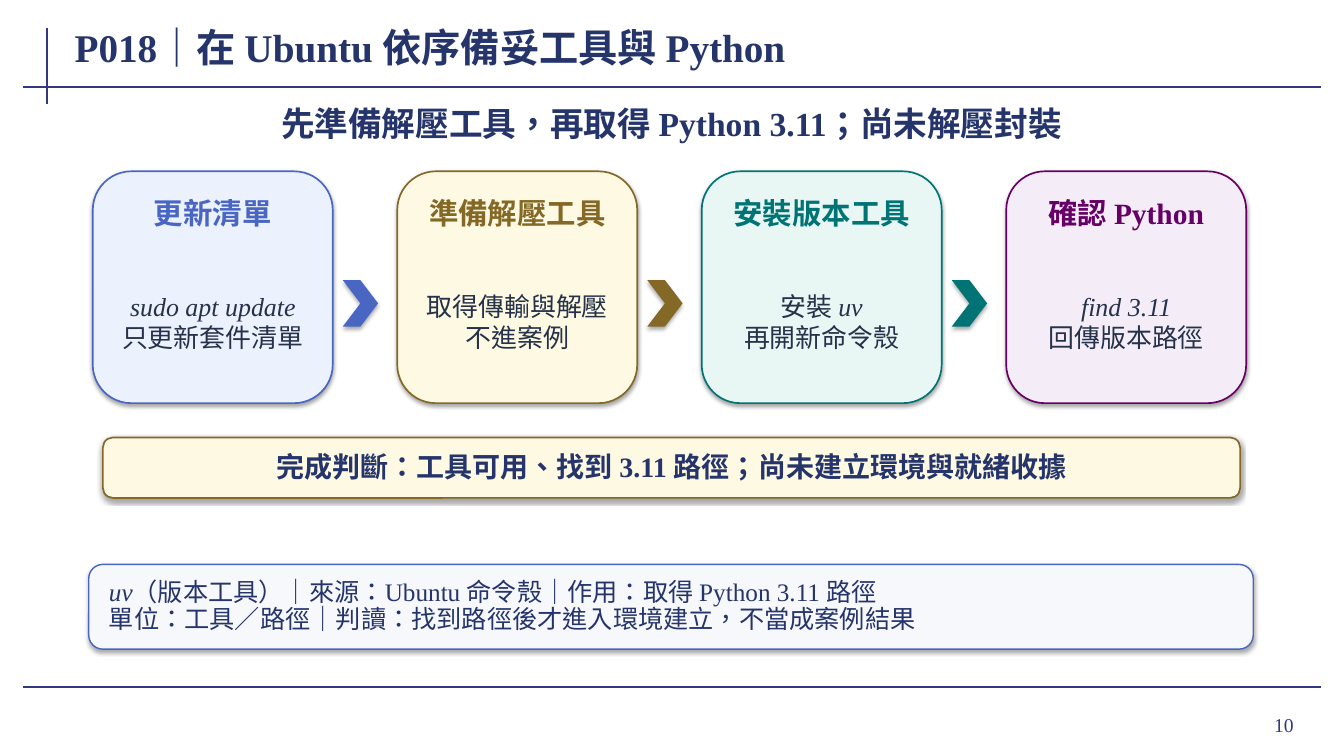
from lxml import etree
from pptx import Presentation, util as u
from pptx.dml.color import RGBColor
from pptx.enum import lang, shapes, text
from pptx.oxml import parse_xml
from pptx.oxml.ns import nsdecls, qn

NAVY = RGBColor(0x25, 0x35, 0x6B)
RULE = RGBColor(0x35, 0x37, 0x7F)
INK = RGBColor(0x25, 0x32, 0x4A)
BLUE = RGBColor(0x49, 0x67, 0xC2)
GOLD = RGBColor(0x84, 0x68, 0x26)
TEAL = RGBColor(0x00, 0x73, 0x74)
PLUM = RGBColor(0x66, 0x00, 0x66)
PALE_BLUE = RGBColor(0xEC, 0xF1, 0xFE)
PALE_GOLD = RGBColor(0xFD, 0xF9, 0xE2)
PALE_TEAL = RGBColor(0xE8, 0xF7, 0xF4)
PALE_PLUM = RGBColor(0xF4, 0xED, 0xF7)
PALE_GREY = RGBColor(0xF7, 0xF8, 0xFC)

LEFT, CENTER, RIGHT = text.PP_ALIGN.LEFT, text.PP_ALIGN.CENTER, text.PP_ALIGN.RIGHT
ROUNDED = shapes.MSO_SHAPE.ROUNDED_RECTANGLE
CHEVRON = shapes.MSO_SHAPE.CHEVRON
SHADOW = (f'<a:outerShdw {nsdecls("a")} blurRad="{u.Pt(3.1)}" dist="{u.Pt(1.8)}" '
          'dir="5400000" algn="ctr" rotWithShape="0"><a:srgbClr val="000000">'
          '<a:alpha val="35000"/></a:srgbClr></a:outerShdw>')

# Each step: heading, line colour, fill colour, paragraphs of (text, italic) runs
STEPS = [
    ("更新清單", BLUE, PALE_BLUE,
     [[("sudo apt update", True)], [("只更新套件清單", False)]]),
    ("準備解壓工具", GOLD, PALE_GOLD,
     [[("取得傳輸與解壓", False)], [("不進案例", False)]]),
    ("安裝版本工具", TEAL, PALE_TEAL,
     [[("安裝 ", False), ("uv", True)], [("再開新命令殼", False)]]),
    ("確認 Python", PLUM, PALE_PLUM,
     [[("find 3.11", True)], [("回傳版本路徑", False)]]),
]
CARD_LEFT, CARD_PITCH = 0.92, 3.02


class Deck:
    font = "Times New Roman"

    def __init__(self, prs):
        self.s = prs.slides.add_slide(prs.slide_layouts[6])

    def rule(self, x1, y1, x2, y2):
        line = self.s.shapes.add_connector(
            shapes.MSO_CONNECTOR.STRAIGHT, *map(u.Inches, (x1, y1, x2, y2)))
        line.line.color.rgb = RULE
        line.line.width = u.Pt(1.5)
        etree.SubElement(line._element.spPr, qn("a:effectLst"))

    def set_text(self, sp, paragraphs, size, color, bold=False, align=CENTER,
                 insets=(0.02, 0.01), spacing=None):
        """Fill a shape with paragraphs, each a string or a list of (text, italic) runs."""
        tf = sp.text_frame
        x, y = map(u.Inches, insets)
        frame = {"word_wrap": True, "vertical_anchor": text.MSO_ANCHOR.MIDDLE,
                 "margin_left": x, "margin_right": x, "margin_top": y, "margin_bottom": y}
        for name, value in frame.items():
            setattr(tf, name, value)
        style = {"name": self.font, "size": u.Pt(size), "bold": bold,
                 "language_id": lang.MSO_LANGUAGE_ID.TRADITIONAL_CHINESE}
        for i, runs in enumerate(paragraphs):
            p = tf.add_paragraph() if i else tf.paragraphs[0]
            p.alignment = align
            p.line_spacing = spacing
            for content, italic in [(runs, False)] if isinstance(runs, str) else runs:
                r = p.add_run()
                r.text = content
                for name, value in {**style, "italic": italic}.items():
                    setattr(r.font, name, value)
                r.font.color.rgb = color

    def label(self, box, paragraphs, size, color, **fmt):
        sp = self.s.shapes.add_textbox(*map(u.Inches, box))
        self.set_text(sp, paragraphs, size, color, **fmt)

    def shape(self, kind, box, fill, line=None, width=1.2):
        """Add a filled shape with a soft shadow below it."""
        sp = self.s.shapes.add_shape(kind, *map(u.Inches, box))
        sp.fill.solid()
        sp.fill.fore_color.rgb = fill
        if line is None:
            sp.line.fill.background()
        else:
            sp.line.color.rgb = line
            sp.line.width = u.Pt(width)
        sp.shadow.inherit = False
        sp._element.spPr.find(qn("a:effectLst")).append(parse_xml(SHADOW))
        return sp

    def step(self, x, heading, color, fill, body):
        self.shape(ROUNDED, (x, 1.7, 2.38, 2.3), fill, color)
        self.label((x + 0.18, 1.9, 2.02, 0.42), [heading], 21, color, bold=True)
        self.label((x + 0.22, 2.58, 1.94, 1.22), body, 18.5, INK)


def main():
    prs = Presentation()
    prs.slide_width, prs.slide_height = u.Inches(13.33), u.Inches(7.5)
    deck = Deck(prs)

    deck.rule(0.47, 0.28, 0.47, 1.03)
    for y in (0.86, 6.82):
        deck.rule(0.23, y, 13.1, y)
    deck.label((11.96, 6.93, 0.97, 0.52), ["10"], 14, RULE, align=RIGHT, insets=(0.1, 0.05))
    deck.label((0.72, 0.2, 10.35, 0.53), ["P018｜在 Ubuntu 依序備妥工具與 Python"],
               28, NAVY, bold=True, align=LEFT, insets=(0.02, 0))
    deck.label((1.02, 1.02, 11.28, 0.4), ["先準備解壓工具，再取得 Python 3.11；尚未解壓封裝"],
               24, NAVY, bold=True)

    for i, (heading, color, fill, body) in enumerate(STEPS):
        x = CARD_LEFT + i * CARD_PITCH
        deck.step(x, heading, color, fill, body)
        if i < len(STEPS) - 1:
            deck.shape(CHEVRON, (x + 2.48, 2.78, 0.35, 0.46), color)

    verdict = deck.shape(ROUNDED, (1.02, 4.34, 11.28, 0.6), PALE_GOLD, GOLD)
    deck.set_text(verdict, ["完成判斷：工具可用、找到 3.11 路徑；尚未建立環境與就緒收據"],
                  20, NAVY, bold=True, insets=(0.1, 0.04), spacing=0.95)

    note = deck.shape(ROUNDED, (0.88, 5.6, 11.55, 0.84), PALE_GREY, BLUE, width=1)
    deck.set_text(note, [
        [("uv", True), ("（版本工具）｜來源：Ubuntu 命令殼｜作用：取得 Python 3.11 路徑", False)],
        "單位：工具／路徑｜判讀：找到路徑後才進入環境建立，不當成案例結果",
    ], 18, NAVY, align=LEFT, insets=(0.16, 0.04), spacing=0.9)

    prs.save("out.pptx")


if __name__ == "__main__":
    main()
